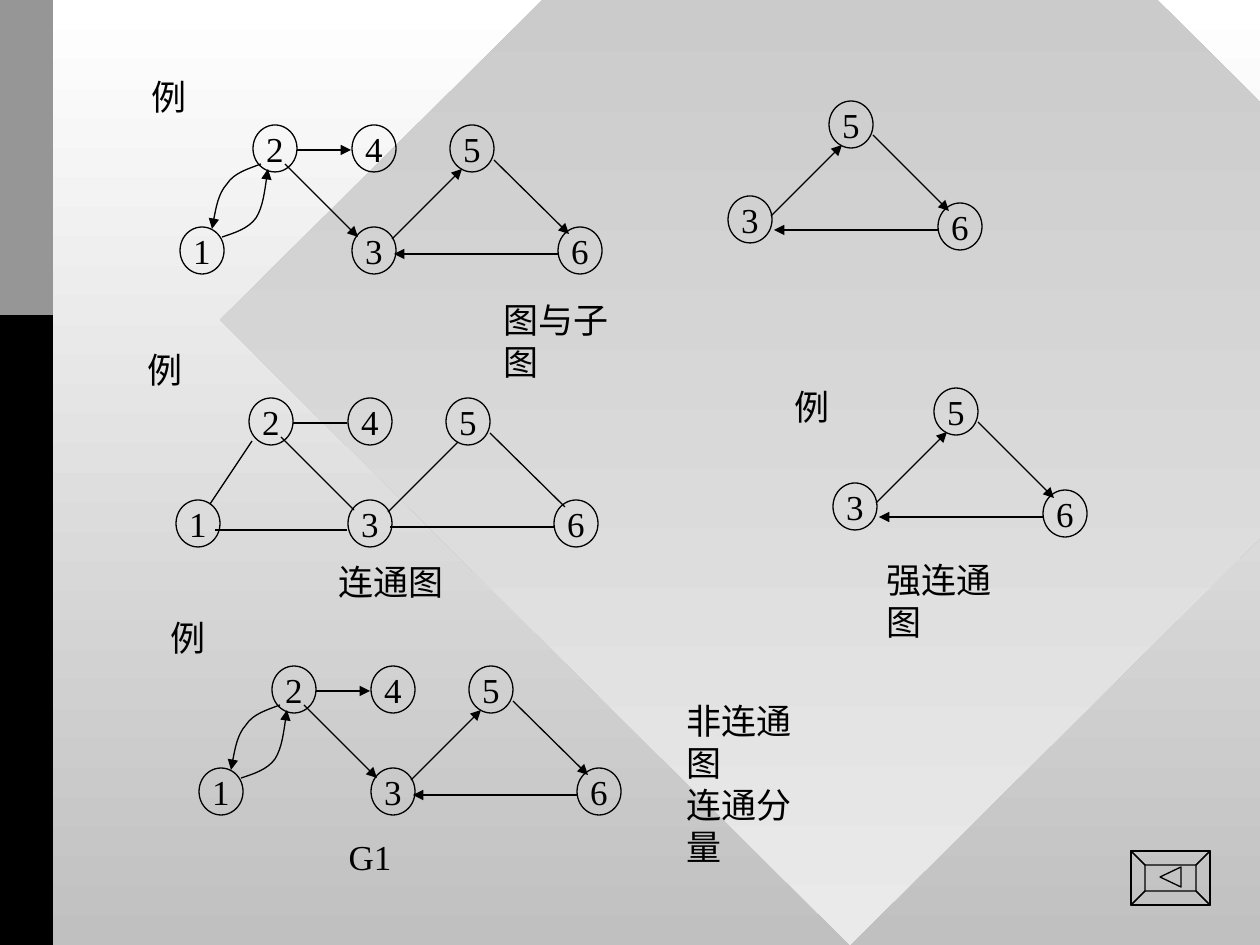
from lxml.etree import SubElement
from pptx import Presentation
from pptx.dml.color import RGBColor
from pptx.enum.shapes import MSO_CONNECTOR, MSO_SHAPE
from pptx.enum.text import MSO_ANCHOR, MSO_AUTO_SIZE, PP_ALIGN
from pptx.oxml.ns import qn
from pptx.util import Pt

SCALE = 914400 / 126  # EMU in one px
INK = {"text": "010000", "bar": "000000", "block": "969696",
       "white": "FFFFFF", "gray": "C0C0C0", "pale": "EAEAEA"}
FONT = "Times New Roman"
NODE = (44, 47)

# Six-node graph: node corners and edges, relative to its box
NODES = {"2": (114, 56), "4": (213, 56), "5": (311, 56),
         "1": (41, 158), "3": (213, 158), "6": (419, 158)}
EDGES = [(158, 81, 212, 81), (146, 95, 219, 168), (420, 185, 255, 185),
         (253, 170, 323, 100), (355, 91, 430, 165)]
PLAIN = [(212, 188, 80, 188), (75, 162, 117, 99)]
CURVES = [
    [(122, 95), (109, 100), (95, 104), (88, 115), (79, 125), (74, 154), (73, 160)],
    [(83, 168), (95, 164), (109, 160), (117, 149), (124, 138), (128, 107), (129, 100)],
]

# Three-node cycle
TRI_NODES = {"3": (0, 95), "5": (101, 0), "6": (210, 102)}
TRI_EDGES = [(210, 129, 46, 129), (43, 115, 114, 44), (145, 34, 221, 110)]


def emu(*vals):
    return [round(v * SCALE) for v in vals]


def color(name):
    return RGBColor.from_string(INK[name])


def blend(fill, top, base):
    fill.gradient()
    fill.gradient_angle = 270
    for stop, name in zip(fill.gradient_stops, (top, base)):
        stop.color.rgb = color(name)


def pen(shape, arrow=False):
    shape.line.color.rgb = color("text")
    shape.line.width = Pt(0.75)
    if arrow:
        ln = shape.element.spPr.find(qn("a:ln"))
        SubElement(ln, qn("a:tailEnd"), type="triangle")


def write(shape, lines, align):
    frame = shape.text_frame
    frame.word_wrap = False
    for i, line in enumerate(lines):
        para = frame.add_paragraph() if i else frame.paragraphs[0]
        para.alignment = align
        run = para.add_run()
        run.text = line
        run.font.size = Pt(20)
        run.font.name = FONT
        run.font.color.rgb = color("text")


def label(shapes, box, *lines, align=PP_ALIGN.LEFT):
    text = shapes.add_textbox(*emu(*box))
    write(text, lines, align)
    text.text_frame.auto_size = MSO_AUTO_SIZE.SHAPE_TO_FIT_TEXT


def node(shapes, x, y, name):
    oval = shapes.add_shape(MSO_SHAPE.OVAL, *emu(x, y, *NODE))
    oval.shadow.inherit = False
    oval.fill.background()
    pen(oval)
    write(oval, [name], PP_ALIGN.CENTER)
    oval.text_frame.vertical_anchor = MSO_ANCHOR.MIDDLE


def edge(shapes, x, y, ends, arrow):
    x1, y1, x2, y2 = ends
    line = shapes.add_connector(MSO_CONNECTOR.STRAIGHT,
                                *emu(x + x1, y + y1, x + x2, y + y2))
    pen(line, arrow)
    SubElement(line.element.spPr, qn("a:effectLst"))


def outline(shapes, x, y, paths, close):
    """Draw open or closed paths as one unfilled shape."""
    moved = [[(x + px, y + py) for px, py in path] for path in paths]
    form = shapes.build_freeform(*moved[0][0], scale=SCALE)
    for i, path in enumerate(moved):
        if i:
            form.move_to(*path[0])
        form.add_line_segments(path[1:], close=close)
    shape = form.convert_to_shape()
    shape.shadow.inherit = False
    shape.fill.background()
    return shape


def curve(shapes, x, y, points):
    shape = outline(shapes, x, y, [points], False)
    pen(shape, True)
    # Every three line points become one Bezier segment
    track = shape.element.find(".//" + qn("a:path"))
    steps = track.findall(qn("a:lnTo"))
    for i in range(0, len(steps), 3):
        bend = SubElement(track, qn("a:cubicBezTo"))
        for step in steps[i:i + 3]:
            bend.append(step[0])
            track.remove(step)


def net(shapes, x, y, nodes, edges, arrow=True):
    for name, (dx, dy) in nodes.items():
        node(shapes, x + dx, y + dy, name)
    for ends in edges:
        edge(shapes, x, y, ends, arrow)


def graph(slide, x, y, arrow=True):
    shapes = slide.shapes.add_group_shape().shapes
    label(shapes, (x, y, 60, 55), "例", align=PP_ALIGN.CENTER)
    net(shapes, x, y, NODES, EDGES if arrow else EDGES + PLAIN, arrow)
    if arrow:
        for points in CURVES:
            curve(shapes, x, y, points)


def cycle(slide, x, y):
    net(slide.shapes.add_group_shape().shapes, x, y, TRI_NODES, TRI_EDGES)


def button(slide, x, y, w, h, rim):
    outer = [(0, 0), (w, 0), (w, h), (0, h)]
    inner = [(rim, rim), (w - rim, rim), (w - rim, h - rim), (rim, h - rim)]
    sides = [[outer[i], outer[(i + 1) % 4], inner[(i + 1) % 4], inner[i]]
             for i in range(4)]
    mark = [(29, 26), (50, 16), (50, 36)]
    pen(outline(slide.shapes, x, y, [outer, *sides, mark], True))


def backdrop(slide):
    blend(slide.background.fill, "white", "gray")
    gem = slide.shapes.add_shape(MSO_SHAPE.DIAMOND, *emu(220, -305, 1260, 1250))
    gem.shadow.inherit = False
    gem.line.fill.background()
    blend(gem.fill, "gray", "pale")
    for high, name in ((945, "bar"), (315, "block")):
        bar = slide.shapes.add_shape(MSO_SHAPE.RECTANGLE, *emu(0, 0, 53, high))
        bar.shadow.inherit = False
        bar.line.fill.background()
        bar.fill.solid()
        bar.fill.fore_color.rgb = color(name)


def main():
    deck = Presentation()
    deck.slide_width, deck.slide_height = emu(1260, 945)
    slide = deck.slides.add_slide(deck.slide_layouts[6])
    shapes = slide.shapes
    backdrop(slide)

    # Graph and subgraph
    graph(slide, 139, 69)
    cycle(slide, 728, 101)
    label(shapes, (491, 292, 165, 55), "图与子图")

    # Connected and strongly connected graphs
    graph(slide, 135, 342, arrow=False)
    label(shapes, (326, 554, 130, 55), "连通图")
    label(shapes, (782, 379, 60, 55), "例")
    cycle(slide, 833, 388)
    label(shapes, (874, 552, 165, 55), "强连通图")

    # Unconnected graph and its components
    graph(slide, 158, 610)
    label(shapes, (336, 829, 68, 55), "G1", align=PP_ALIGN.CENTER)
    label(shapes, (674, 693, 165, 97), "非连通图", "连通分量")

    button(slide, 1131, 851, 79, 54, 14)
    deck.save("out.pptx")


if __name__ == "__main__":
    main()
